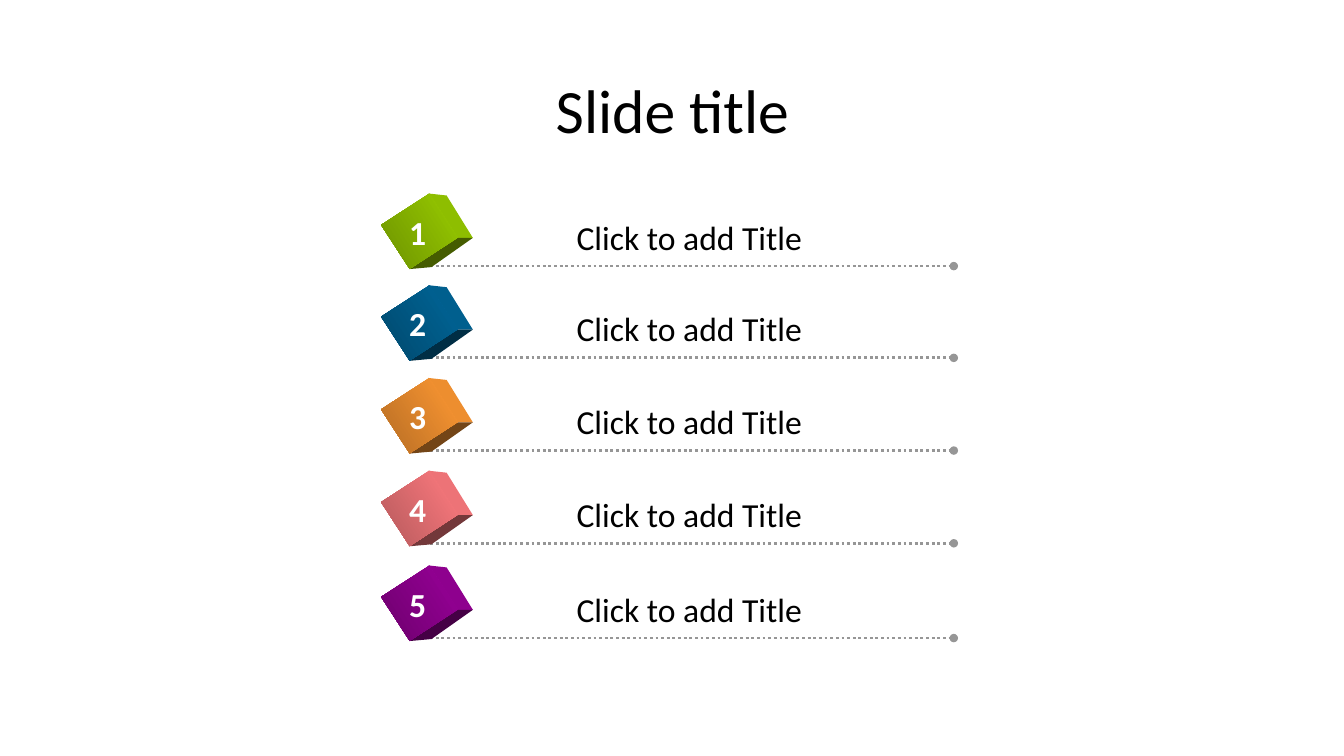
from dataclasses import dataclass

from lxml import etree
from pptx import Presentation
from pptx.dml.color import RGBColor
from pptx.enum.dml import MSO_LINE
from pptx.enum.shapes import MSO_CONNECTOR, MSO_SHAPE
from pptx.enum.text import MSO_ANCHOR, MSO_AUTO_SIZE as AutoSize, PP_ALIGN
from pptx.oxml.ns import qn
from pptx.util import Inches, Pt

# Content: label, height of the dotted line, bright and dark cube colours
TITLE = "Slide title"
ITEMS = [
    ("Click to add Title", 2.64, "99CC00", "6D9200"),
    ("Click to add Title", 3.55, "006699", "00496D"),
    ("Click to add Title", 4.47, "FF9933", "B66D24"),
    ("Click to add Title", 5.39, "FF7C80", "B6595C"),
    ("Click to add Title", 6.33, "990099", "6D006D"),
]


@dataclass(frozen=True)
class Theme:
    font: str = "Calibri"
    text: str = "000000"
    number: str = "FFFFFF"
    rule: str = "969696"
    title_size: int = 44
    item_size: int = 24
    side_shade: float = 0.93
    base_shade: float = 0.45


THEME = Theme()

# Row geometry; heights are measured from the dotted line
RULE_LEFT, RULE_RIGHT = 4.21, 9.46
CUBE_LEFT, CUBE_RISE, CUBE_WIDTH, CUBE_HEIGHT, CUBE_TURN = 3.9, 0.63, 0.52, 0.57, 57
SIDE_FACE = [(4.25, -0.72), (4.43, -0.7), (4.69, -0.28), (4.52, -0.28)]
BASE_FACE = [(4.06, 0.03), (4.28, 0.01), (4.69, -0.28), (4.52, -0.28)]


def shade(colour, factor):
    return RGBColor(*(round(part * factor) for part in RGBColor.from_string(colour)))


def add_run(paragraph, wording, size, colour, bold=False):
    run = paragraph.add_run()
    run.text = wording
    run.font.name = THEME.font
    run.font.size = Pt(size)
    run.font.bold = bold
    run.font.color.rgb = RGBColor.from_string(colour)


def add_label(row, wording, left, top, width, colour, bold=False):
    label = row.shapes.add_textbox(Inches(left), Inches(top), Inches(width), Inches(0.5))
    frame = label.text_frame
    frame.word_wrap = False
    frame.auto_size = AutoSize.SHAPE_TO_FIT_TEXT
    add_run(frame.paragraphs[0], wording, THEME.item_size, colour, bold)


def add_rule(row, y):
    rule = row.shapes.add_connector(MSO_CONNECTOR.STRAIGHT, Inches(RULE_LEFT), Inches(y),
                                    Inches(RULE_RIGHT), Inches(y))
    rule.line.color.rgb = RGBColor.from_string(THEME.rule)
    rule.line.width = Pt(2)
    rule.line.dash_style = MSO_LINE.ROUND_DOT
    properties = rule.line._get_or_add_ln()
    etree.SubElement(properties, qn("a:tailEnd"), type="oval")
    etree.SubElement(rule._element.spPr, qn("a:effectLst"))


def add_face(row, corners, y, colour):
    points = [(Inches(x), Inches(y + offset)) for x, offset in corners]
    builder = row.shapes.build_freeform(*points[0])
    builder.add_line_segments(points[1:], close=True)
    face = builder.convert_to_shape()
    face.shadow.inherit = False
    face.fill.solid()
    face.fill.fore_color.rgb = colour
    face.line.fill.background()


def add_cube(row, y, bright, dark):
    add_face(row, SIDE_FACE, y, shade(bright, THEME.side_shade))
    add_face(row, BASE_FACE, y, shade(bright, THEME.base_shade))
    front = row.shapes.add_shape(MSO_SHAPE.RECTANGLE, Inches(CUBE_LEFT), Inches(y - CUBE_RISE),
                                 Inches(CUBE_WIDTH), Inches(CUBE_HEIGHT))
    front.rotation = CUBE_TURN
    front.shadow.inherit = False
    front.line.fill.background()
    front.fill.gradient()
    front.fill.gradient_angle = 270
    for stop, colour in zip(front.fill.gradient_stops, (bright, dark)):
        stop.color.rgb = RGBColor.from_string(colour)


def main():
    deck = Presentation()
    deck.slide_width, deck.slide_height = Inches(13.33), Inches(7.5)
    slide = deck.slides.add_slide(deck.slide_layouts[5])

    # Title
    title = slide.shapes.title
    title.left, title.top = Inches(0.92), Inches(0.4)
    title.width, title.height = Inches(11.5), Inches(1.45)
    title.text_frame.vertical_anchor = MSO_ANCHOR.MIDDLE
    heading = title.text_frame.paragraphs[0]
    heading.alignment = PP_ALIGN.CENTER
    heading.line_spacing = 0.9
    add_run(heading, TITLE, THEME.title_size, THEME.text)

    # Numbered rows
    for number, (label, y, bright, dark) in enumerate(ITEMS, start=1):
        row = slide.shapes.add_group_shape()
        add_rule(row, y)
        add_cube(row, y, bright, dark)
        add_label(row, label, 5.62, y - 0.54, 2.67, THEME.text)
        add_label(row, str(number), 3.96, y - 0.59, 0.39, THEME.number, bold=True)

    deck.save("out.pptx")


if __name__ == "__main__":
    main()
